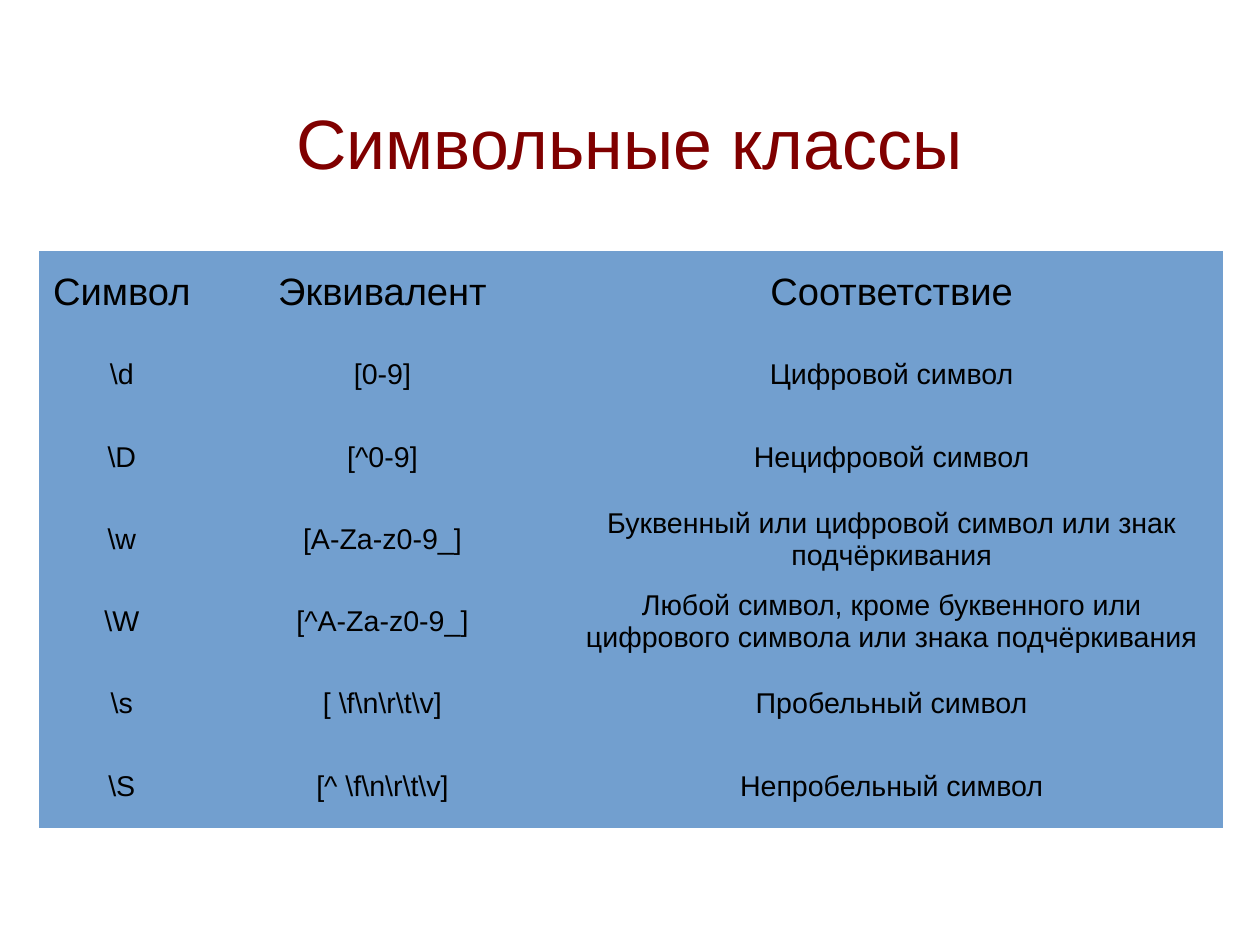
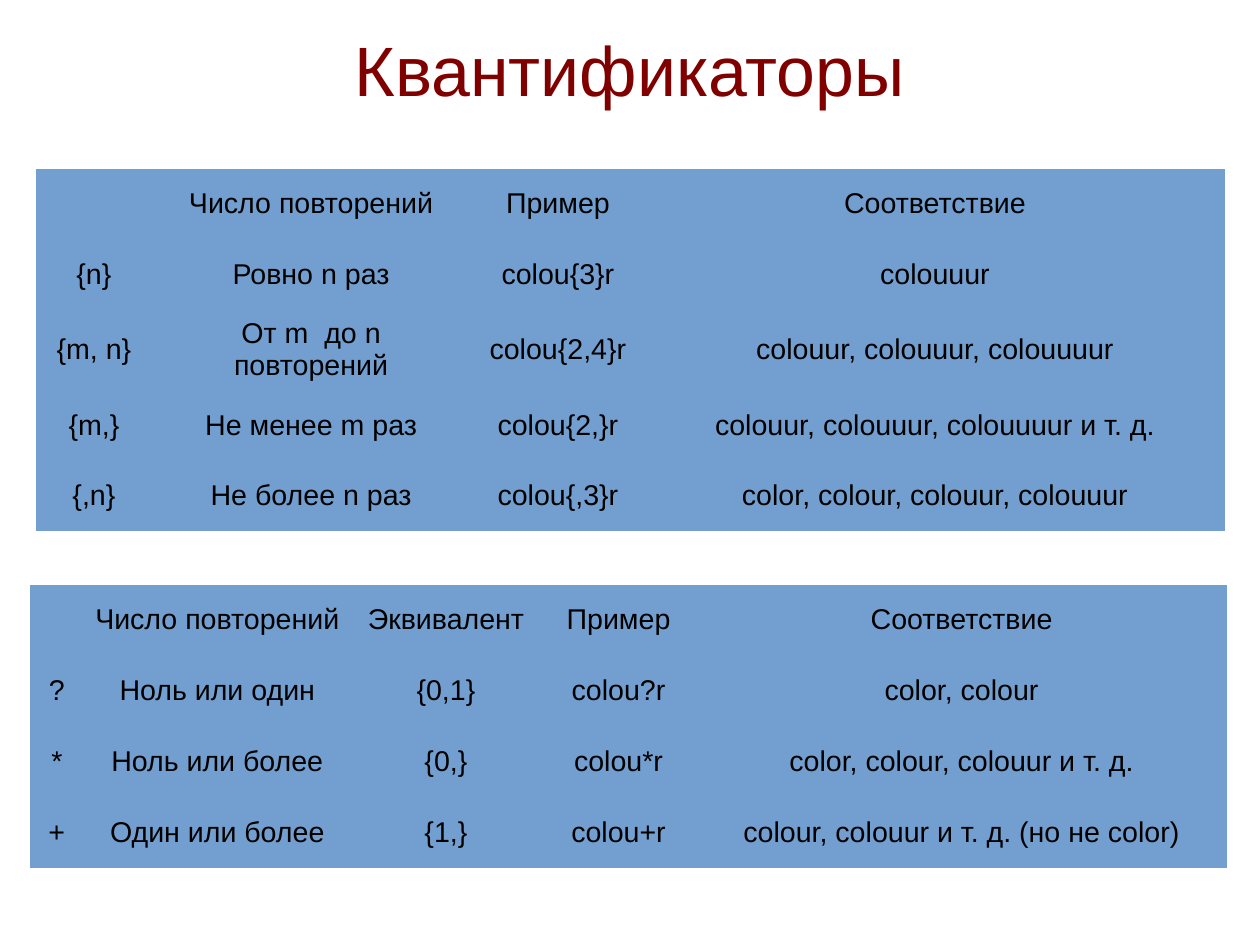
from lxml import etree
from pptx import Presentation
from pptx import util as u
from pptx.dml.color import RGBColor
from pptx.enum import text
from pptx.oxml import ns

TITLE_COLOR = "800000"
TEXT_COLOR = "000000"
CELL_COLOR = "729FCF"
FONT = "Arial"

presentation = Presentation()
presentation.slide_width = u.Cm(28)
presentation.slide_height = u.Cm(21)
COLUMN = presentation.slide_width / 100
ROW = presentation.slide_height / 100


def color(value):
    return RGBColor.from_string(value)


def write(paragraph, content, size, value):
    paragraph.text = content
    paragraph.alignment = text.PP_ALIGN.CENTER
    paragraph.font.name = FONT
    paragraph.font.size = u.Pt(size)
    paragraph.font.color.rgb = color(value)


classes = {
    "left": 3.09, "top": 26.6, "header_size": 24,
    "columns": [13.16, 28.22, 52.6],
    "rows": [8.71] * 7,
    "cells": [
        ["Символ", "Эквивалент", "Соответствие"],
        [r"\d", "[0-9]", "Цифровой символ"],
        [r"\D", "[^0-9]", "Нецифровой символ"],
        [r"\w", "[A-Za-z0-9_]", "Буквенный или цифровой символ или знак подчёркивания"],
        [r"\W", "[^A-Za-z0-9_]",
         "Любой символ, кроме буквенного или цифрового символа или знака подчёркивания"],
        [r"\s", r"[ \f\n\r\t\v]", "Пробельный символ"],
        [r"\S", r"[^ \f\n\r\t\v]", "Непробельный символ"],
    ],
}
short_quantifiers = {
    "left": 2.38, "top": 61.85, "header_size": 18,
    "columns": [4.26, 21.23, 15.06, 12.34, 42.11],
    "rows": [7.5] * 4,
    "cells": [
        ["", "Число повторений", "Эквивалент", "Пример", "Соответствие"],
        ["?", "Ноль или один", "{0,1}", "colou?r", "color, colour"],
        ["*", "Ноль или более", "{0,}", "colou*r", "color, colour, colouur и т. д."],
        ["+", "Один или более", "{1,}", "colou+r", "colour, colouur и т. д. (но не color)"],
    ],
}
counted_quantifiers = {
    "left": 2.87, "top": 17.85, "header_size": 18,
    "columns": [9.17, 25.3, 13.88, 45.97],
    "rows": [7.48, 7.48, 7.98, 7.48, 7.48],
    "cells": [
        ["", "Число повторений", "Пример", "Соответствие"],
        ["{n}", "Ровно n раз", "colou{3}r", "colouuur"],
        ["{m, n}", "От m  до n повторений", "colou{2,4}r", "colouur, colouuur, colouuuur"],
        ["{m,}", "Не менее m раз", "colou{2,}r", "colouur, colouuur, colouuuur и т. д."],
        ["{,n}", "Не более n раз", "colou{,3}r", "color, colour, colouur, colouuur"],
    ],
}
slides = [
    ("Символьные классы", 6.65, 16.69, [classes]),
    ("Квантификаторы", 3.14, 8.22, [short_quantifiers, counted_quantifiers]),
]

for title, title_top, title_height, tables in slides:
    slide = presentation.slides.add_slide(presentation.slide_layouts[6])
    box = slide.shapes.add_textbox(
        int(5 * COLUMN), int(title_top * ROW), int(90 * COLUMN), int(title_height * ROW))
    frame = box.text_frame
    frame.word_wrap = True
    frame.vertical_anchor = text.MSO_ANCHOR.MIDDLE
    frame.margin_left = frame.margin_right = frame.margin_top = frame.margin_bottom = 0
    write(frame.paragraphs[0], title, 44, TITLE_COLOR)

    for data in tables:
        table = slide.shapes.add_table(
            len(data["rows"]), len(data["columns"]),
            int(data["left"] * COLUMN), int(data["top"] * ROW),
            int(sum(data["columns"]) * COLUMN), int(sum(data["rows"]) * ROW)).table
        table.first_row = table.horz_banding = False
        for column, width in zip(table.columns, data["columns"]):
            column.width = int(width * COLUMN)
        for row_index, height in enumerate(data["rows"]):
            table.rows[row_index].height = int(height * ROW)
            size = 18 if row_index else data["header_size"]
            for column_index, content in enumerate(data["cells"][row_index]):
                cell = table.cell(row_index, column_index)
                cell.fill.solid()
                cell.fill.fore_color.rgb = color(CELL_COLOR)
                cell.vertical_anchor = text.MSO_ANCHOR.MIDDLE
                write(cell.text_frame.paragraphs[0], content, size, TEXT_COLOR)
                properties = cell._tc.tcPr
                for position, edge in enumerate(["a:lnL", "a:lnR", "a:lnT", "a:lnB"]):
                    border = etree.Element(ns.qn(edge), w="0")
                    etree.SubElement(border, ns.qn("a:noFill"))
                    properties.insert(position, border)

presentation.save("out.pptx")
